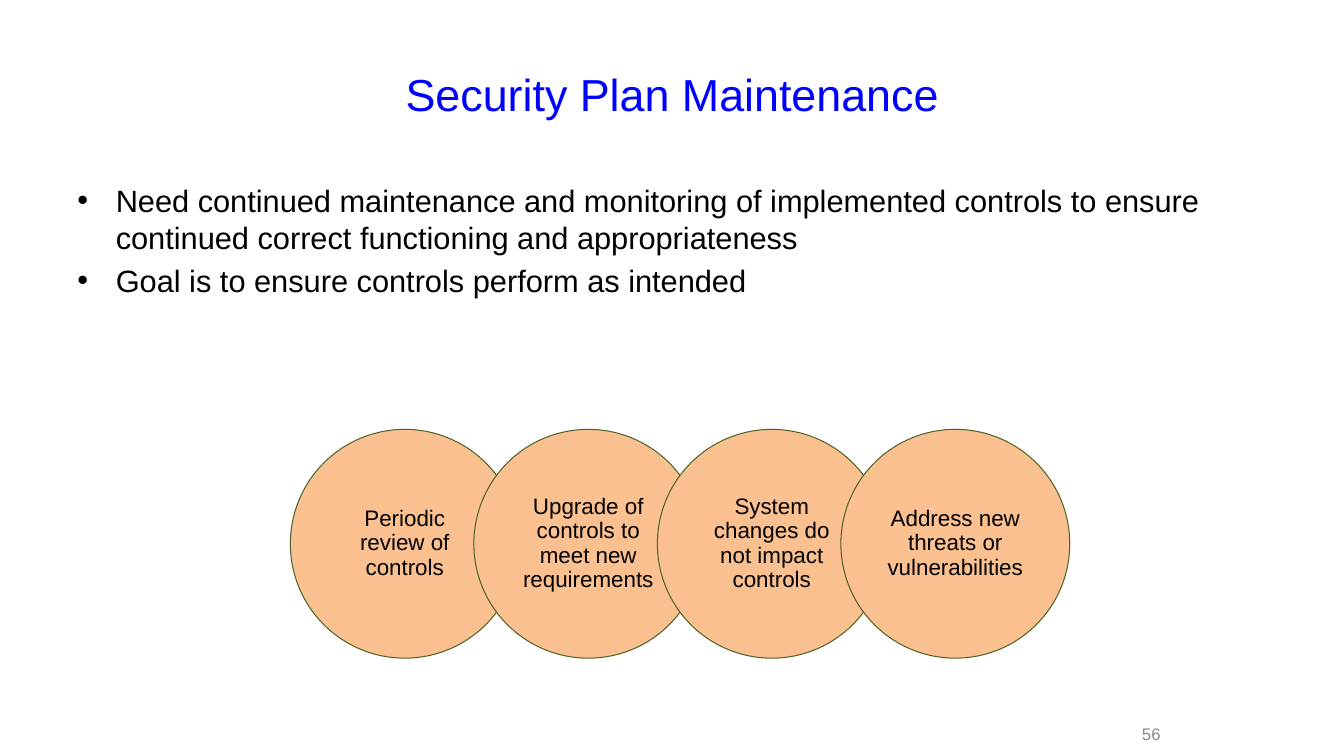
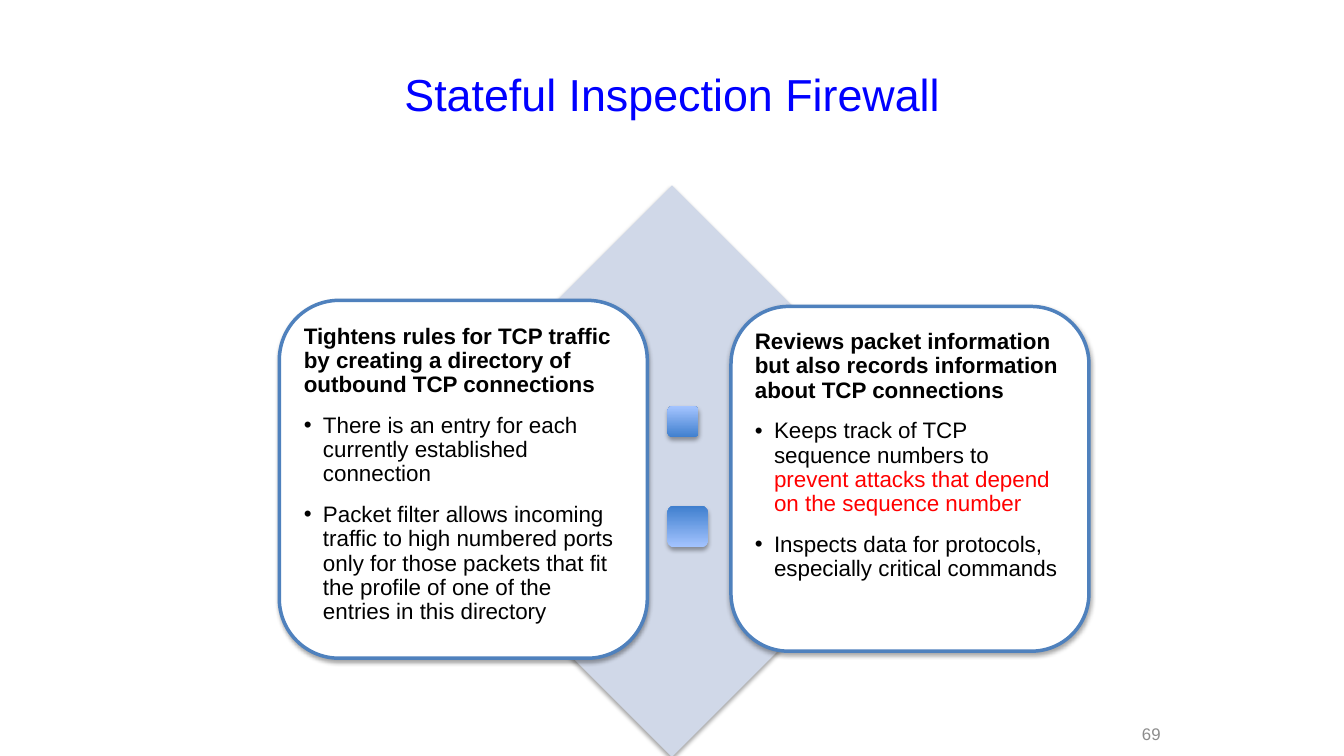
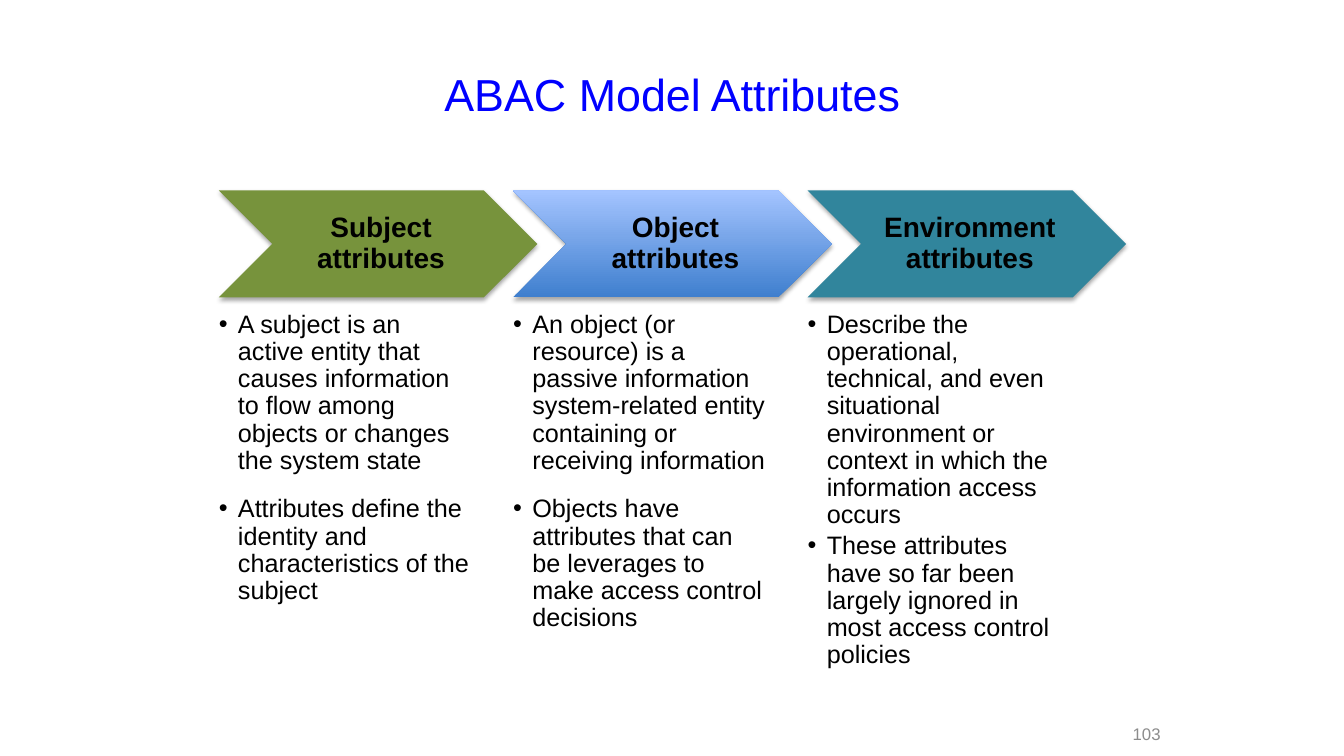
"""Build three security course slides: plan maintenance, firewall and ABAC attributes."""
from lxml.etree import SubElement
from pptx import Presentation
from pptx.dml.color import RGBColor
from pptx.enum.shapes import MSO_SHAPE as Preset
from pptx.enum.text import MSO_ANCHOR as Anchor, PP_ALIGN as Align
from pptx.oxml.ns import qn
from pptx.util import Pt

PX = 9144
FONT = "Arial"
TITLE_BLUE, NUMBER_GRAY, BLACK, RED = "0000FF", "8C8C8C", "000000", "FF0000"
PEACH, DARK_GREEN, PALE_BLUE, WHITE = "FAC090", "4F6228", "D0D8E8", "FFFFFF"
OUTLINE_BLUE, GREEN, TEAL = "4F81BD", "77933C", "31859C"
BLUE_GRADIENT = ("3F7FCE", "A4C4FF")
rgb = RGBColor.from_string


def add_box(slide, box, preset=None, fill=None, line=None, shadow=False,
            insets=(10, 5, 10, 5), anchor=Anchor.TOP):
    """Add a preset shape, or a text box when no preset is given."""
    left, top, width, height = (length * PX for length in box)
    if preset is None:
        shape = slide.shapes.add_textbox(left, top, width, height)
    else:
        shape = slide.shapes.add_shape(preset, left, top, width, height)
        shape.shadow.inherit = False
        if isinstance(fill, tuple):
            shape.fill.gradient()
            shape.fill.gradient_angle = 90
            for stop, color in zip(shape.fill.gradient_stops, fill):
                stop.color.rgb = rgb(color)
        else:
            shape.fill.solid()
            shape.fill.fore_color.rgb = rgb(fill)
        if line:
            color, weight = line
            shape.line.color.rgb = rgb(color)
            shape.line.width = Pt(weight)
        else:
            shape.line.fill.background()
    if shadow:
        effects = shape._element.spPr.find(qn("a:effectLst"))
        outer = SubElement(effects, qn("a:outerShdw"), blurRad="40000", dist="23000",
                           dir="5400000", rotWithShape="0")
        color = SubElement(outer, qn("a:srgbClr"), val=BLACK)
        SubElement(color, qn("a:alpha"), val="35000")
    frame = shape.text_frame
    frame.word_wrap = True
    frame.vertical_anchor = anchor
    for side, inset in zip(("left", "top", "right", "bottom"), insets):
        setattr(frame, f"margin_{side}", inset * PX)
    return shape


def add_text(frame, text, size, color=BLACK, bold=False, indent=0, highlight="", **formats):
    """Write one paragraph, bulleted when indented, with an optional red ending."""
    first = frame.paragraphs[0]
    paragraph = frame.add_paragraph() if first.runs else first
    if indent:
        properties = paragraph._p.get_or_add_pPr()
        properties.set("marL", str(indent * PX))
        properties.set("indent", str(-indent * PX))
        SubElement(properties, qn("a:buFont"), typeface=FONT)
        SubElement(properties, qn("a:buChar"), char="•")
    for name, value in formats.items():
        setattr(paragraph, name, value)
    for words, words_color in ((text, color), (highlight, RED)):
        if words:
            run = paragraph.add_run()
            run.text = words
            run.font.color.rgb = rgb(words_color)
            for name, value in {"name": FONT, "size": Pt(size), "bold": bold}.items():
                setattr(run.font, name, value)


presentation = Presentation()
presentation.slide_width = 1333 * PX
presentation.slide_height = 750 * PX

slides = []
for title_text, number in (
    ("Security Plan Maintenance", "56"),
    ("Stateful Inspection Firewall", "69"),
    ("ABAC Model Attributes", "103"),
):
    slide = presentation.slides.add_slide(presentation.slide_layouts[5])
    title = slide.shapes.title
    for name, value in {"left": 67, "top": 30, "width": 1200, "height": 125}.items():
        setattr(title, name, value * PX)
    title.text_frame.vertical_anchor = Anchor.MIDDLE
    add_text(title.text_frame, title_text, 32, TITLE_BLUE, alignment=Align.CENTER)
    number_box = add_box(slide, (1093, 720, 68, 15), anchor=Anchor.MIDDLE)
    add_text(number_box.text_frame, number, 12, NUMBER_GRAY, alignment=Align.RIGHT)
    slides.append(slide)
maintenance, firewall, attributes = slides

body = add_box(maintenance, (67, 175, 1200, 220))
for text, gap in (
    ("Need continued maintenance and monitoring of implemented controls to ensure "
     "continued correct functioning and appropriateness", 4.4),
    ("Goal is to ensure controls perform as intended", 0),
):
    add_text(body.text_frame, text, 22, indent=38, space_after=Pt(gap))

for index, text in enumerate((
    "Periodic review of controls",
    "Upgrade of controls to meet new requirements",
    "System changes do not impact controls",
    "Address new threats or vulnerabilities",
)):
    circle = add_box(maintenance, (288 + 182 * index, 426, 227, 227), Preset.OVAL, PEACH,
                     (DARK_GREEN, 0.75), insets=(12, 2, 12, 2), anchor=Anchor.MIDDLE)
    add_text(circle.text_frame, text, 16, alignment=Align.CENTER, line_spacing=0.9)

add_box(firewall, (383, 184, 567, 567), Preset.DIAMOND, PALE_BLUE, shadow=True)
for box, heading, points in (
    ((277, 298, 365, 355),
     "Tightens rules for TCP traffic by creating a directory of outbound TCP connections",
     (("There is an entry for each currently established connection", ""),
      ("Packet filter allows incoming traffic to high numbered ports only for those "
       "packets that fit the profile of one of the entries in this directory", ""))),
    ((725, 304, 355, 342),
     "Reviews packet information but also records information about TCP connections",
     (("Keeps track of TCP sequence numbers to ",
       "prevent attacks that depend on the sequence number"),
      ("Inspects data for protocols, especially critical commands", ""))),
):
    panel = add_box(firewall, box, Preset.ROUNDED_RECTANGLE, WHITE, (OUTLINE_BLUE, 2.5),
                    shadow=True, insets=(7, 7, 7, 7))
    panel_format = {"alignment": Align.LEFT, "line_spacing": 0.9, "space_after": Pt(12)}
    add_text(panel.text_frame, heading, 16, bold=True, **panel_format)
    for text, highlight in points:
        add_text(panel.text_frame, text, 16, indent=19, highlight=highlight, **panel_format)

for box, gradient in (
    ((662, 403, 31, 31), BLUE_GRADIENT),
    ((662, 502, 40, 41), BLUE_GRADIENT[::-1]),
):
    add_box(firewall, box, Preset.ROUNDED_RECTANGLE, gradient, shadow=True)

for index, (heading, fill, gap, points) in enumerate((
    ("Subject attributes", GREEN, 15.2,
     ("A subject is an active entity that causes information to flow among objects "
      "or changes the system state",
      "Attributes define the identity and characteristics of the subject")),
    ("Object attributes", BLUE_GRADIENT, 15.2,
     ("An object (or resource) is a passive information system-related entity "
      "containing or receiving information",
      "Objects have attributes that can be leverages to make access control decisions")),
    ("Environment attributes", TEAL, 2.7,
     ("Describe the operational, technical, and even situational environment or "
      "context in which the information access occurs",
      "These attributes have so far been largely ignored in most access control policies")),
)):
    left = 217 + 292 * index
    chevron = add_box(attributes, (left, 189, 316, 106), Preset.CHEVRON, fill, shadow=True,
                      insets=(9, 3, 3, 3), anchor=Anchor.MIDDLE)
    add_text(chevron.text_frame, heading, 20, bold=True, alignment=Align.CENTER,
             line_spacing=0.9)
    column = add_box(attributes, (left, 309, 252, 347), insets=(0, 0, 0, 0))
    for text in points:
        add_text(column.text_frame, text, 18, indent=19, line_spacing=0.9,
                 space_after=Pt(gap))

presentation.save("out.pptx")
